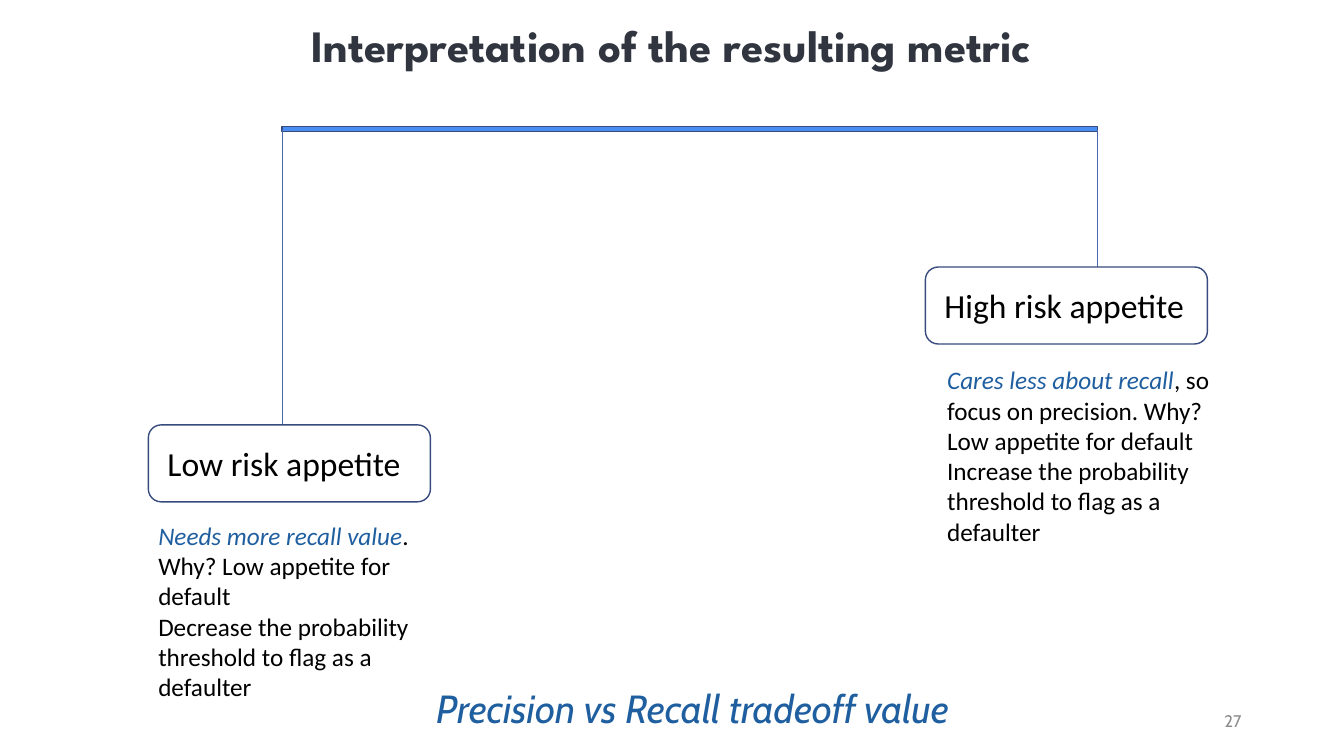
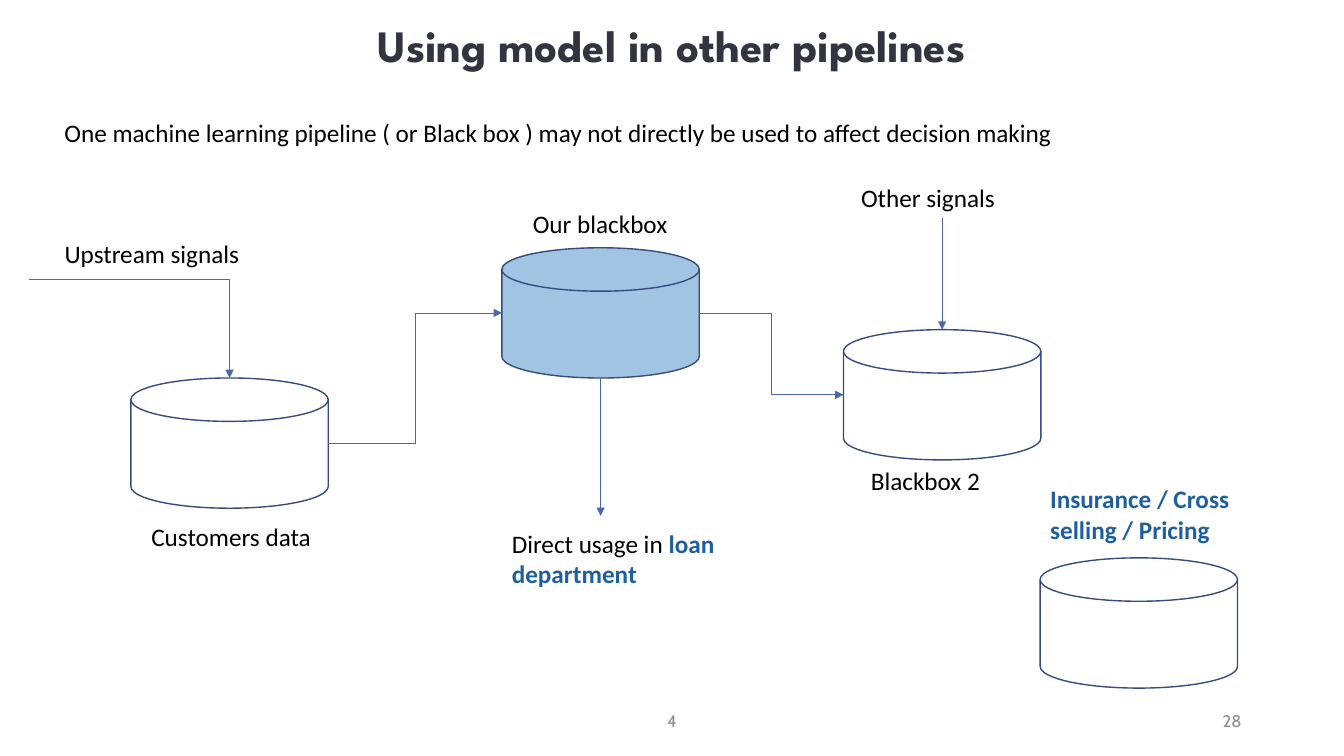
from lxml import etree
from pptx import Presentation
from pptx import util as u
from pptx.dml.color import RGBColor
from pptx.enum import shapes, text
from pptx.oxml import ns

# Colours
INK = RGBColor(0x30, 0x35, 0x3F)
BLACK = RGBColor(0, 0, 0)
WHITE = RGBColor(0xFF, 0xFF, 0xFF)
BLUE = RGBColor(0x1F, 0x5F, 0xA0)
BAR = RGBColor(0x4A, 0x8E, 0xF2)
SKY = RGBColor(0xA1, 0xC4, 0xE3)
EDGE = RGBColor(0x37, 0x4B, 0x7F)
WIRE = RGBColor(0x4A, 0x66, 0xAC)
GREY = RGBColor(0x8C, 0x8C, 0x8C)

# Text styles
BODY = dict(name="Calibri", size=u.Pt(18), color=BLACK)
BOLD = dict(BODY, color=BLUE, bold=True)
SLANT = dict(BODY, color=BLUE, italic=True)
LABEL = dict(BODY, size=u.Pt(24))
TITLE = dict(name="League Spartan", size=u.Pt(32), color=INK, bold=True)
CLAIM = dict(name="Cabin", size=u.Pt(28), color=BLUE, italic=True)
FOOT = dict(name="Cabin", size=u.Pt(12), color=GREY)

# Frame formats
GROW = dict(word_wrap=True, auto_size=text.MSO_AUTO_SIZE.SHAPE_TO_FIT_TEXT)
HEAD = dict(margin_left=0, margin_top=0, margin_right=0, margin_bottom=0,
            word_wrap=False, auto_size=text.MSO_AUTO_SIZE.SHAPE_TO_FIT_TEXT)
MID = dict(word_wrap=True, vertical_anchor=text.MSO_ANCHOR.MIDDLE)
INSET = dict(MID, margin_left=u.Pt(11), margin_right=0)

LEFT, CENTER, RIGHT = (text.PP_ALIGN.LEFT, text.PP_ALIGN.CENTER,
                       text.PP_ALIGN.RIGHT)
WIDE, HIGH = 960, 540
DISK = (141, 93)
CARD = (201.5, 55)


def apply(item, form):
    for key, value in form.items():
        setattr(item, key, value)


def write(frame, paras, form=GROW, align=LEFT):
    """Fill a frame; each paragraph is a list of (words, style) runs."""
    apply(frame, form)
    for i, runs in enumerate(paras):
        para = frame.add_paragraph() if i else frame.paragraphs[0]
        para.alignment = align
        for words, style in runs:
            run = para.add_run()
            run.text = words
            apply(run.font, {k: v for k, v in style.items() if k != "color"})
            run.font.color.rgb = style["color"]


def note(slide, box, paras, form=GROW, align=LEFT):
    area = slide.shapes.add_textbox(*map(u.Pt, box))
    write(area.text_frame, paras, form, align)


def solid(slide, kind, box, fill=WHITE):
    shape = slide.shapes.add_shape(kind, *map(u.Pt, box))
    shape.shadow.inherit = False
    shape.fill.solid()
    shape.fill.fore_color.rgb = fill
    shape.line.color.rgb = EDGE
    shape.line.width = u.Pt(1)
    return shape


def disk(slide, x, y, fill=WHITE):
    kind = shapes.MSO_SHAPE.FLOWCHART_MAGNETIC_DISK
    return solid(slide, kind, (x, y, *DISK), fill)


def card(slide, x, y, words):
    kind = shapes.MSO_SHAPE.ROUNDED_RECTANGLE
    shape = solid(slide, kind, (x, y, *CARD))
    write(shape.text_frame, [[(words, LABEL)]], INSET)


def side(shape, dx, dy):
    """Point on a shape, as fractions of its width and height."""
    return (shape.left.pt + dx * shape.width.pt,
            shape.top.pt + dy * shape.height.pt)


def wire(slide, start, end, bent=None, arrow=True):
    """Thin line; bent names the elbow preset, if any."""
    kind = shapes.MSO_CONNECTOR.ELBOW if bent else shapes.MSO_CONNECTOR.STRAIGHT
    line = slide.shapes.add_connector(kind, *map(u.Pt, (*start, *end)))
    line.line.color.rgb = WIRE
    line.line.width = u.Pt(0.5)
    props = line._element.spPr
    if bent:
        props.find(ns.qn("a:prstGeom")).set("prst", bent)
    if arrow:
        tail = etree.SubElement(props.find(ns.qn("a:ln")), ns.qn("a:tailEnd"))
        tail.set("type", "triangle")
    etree.SubElement(props, ns.qn("a:effectLst"))


def page(deck, title, width, number):
    """New slide with the shared title and page number."""
    slide = deck.slides.add_slide(deck.slide_layouts[6])
    note(slide, ((WIDE - width) / 2, 13, width, 39), [[(title, TITLE)]],
         HEAD, CENTER)
    note(slide, (678, 500.5, 216, 28.75), [[(number, FOOT)]], MID, RIGHT)
    return slide


def metric(deck):
    slide = page(deck, "Interpretation of the resulting metric", 557, "27")

    # Balance beam with its two cords
    solid(slide, shapes.MSO_SHAPE.RECTANGLE, (201.5, 90.5, 582.5, 3.5), BAR)
    for x, y in ((201.5, 304), (784, 191)):
        wire(slide, (x, 93), (x, y), arrow=False)

    # Cards and their reasons
    card(slide, 106, 303.5, "Low risk appetite")
    card(slide, 661, 190.75, "High risk appetite")
    note(slide, (106, 368, 201.5, 138), [
        [("Needs more recall value", SLANT),
         (". Why? Low appetite for default", BODY)],
        [("Decrease the probability threshold to flag as a defaulter", BODY)]])
    note(slide, (669.5, 257, 201.5, 138), [
        [("Cares less about recall", SLANT),
         (", so focus on precision. Why? Low appetite for default", BODY)],
        [("Increase the probability threshold to flag as a defaulter", BODY)]])

    # Closing claim
    note(slide, (304.5, 485.5, 500, 41),
         [[("Precision vs Recall tradeoff value", CLAIM)]])


def pipes(deck):
    slide = page(deck, "Using model in other pipelines", 470, "28")
    note(slide, (318, 500.5, 324, 28.75), [[("4", FOOT)]], MID, CENTER)

    # Stores
    ours = disk(slide, 358.5, 177, SKY)
    second = disk(slide, 602.5, 235.5)
    data = disk(slide, 93.5, 270)
    disk(slide, 743, 398.5)

    # Flow
    wire(slide, (21, 199.5), side(data, 0.5, 0), "bentConnector2")
    wire(slide, side(data, 1, 0.5), side(ours, 0, 0.5), "bentConnector3")
    wire(slide, side(ours, 1, 0.5), side(second, 0, 0.5), "bentConnector3")
    low = side(ours, 0.5, 1)
    wire(slide, low, (low[0], 368.5))
    top = side(second, 0.5, 0)
    wire(slide, (top[0], 156), top)

    # Labels
    for x, y, width, runs in (
        (39, 80, 920, [("One machine learning pipeline ( or Black box ) may "
                        "not directly be used to affect decision making",
                        BODY)]),
        (373.5, 145.5, 128, [("Our blackbox", BODY)]),
        (101, 369, 171, [("Customers data", BODY)]),
        (39, 167, 171, [("Upstream signals", BODY)]),
        (358.5, 373.5, 171, [("Direct usage in ", BODY),
                             ("loan department", BOLD)]),
        (608, 127, 150, [("Other signals", BODY)]),
        (743, 342, 171, [("Insurance / Cross selling / Pricing", BOLD)]),
        (615, 329, 128, [("Blackbox 2", BODY)]),
    ):
        note(slide, (x, y, width, 29), [runs])


def main():
    deck = Presentation()
    deck.slide_width, deck.slide_height = u.Pt(WIDE), u.Pt(HIGH)
    metric(deck)
    pipes(deck)
    deck.save("out.pptx")


if __name__ == "__main__":
    main()
